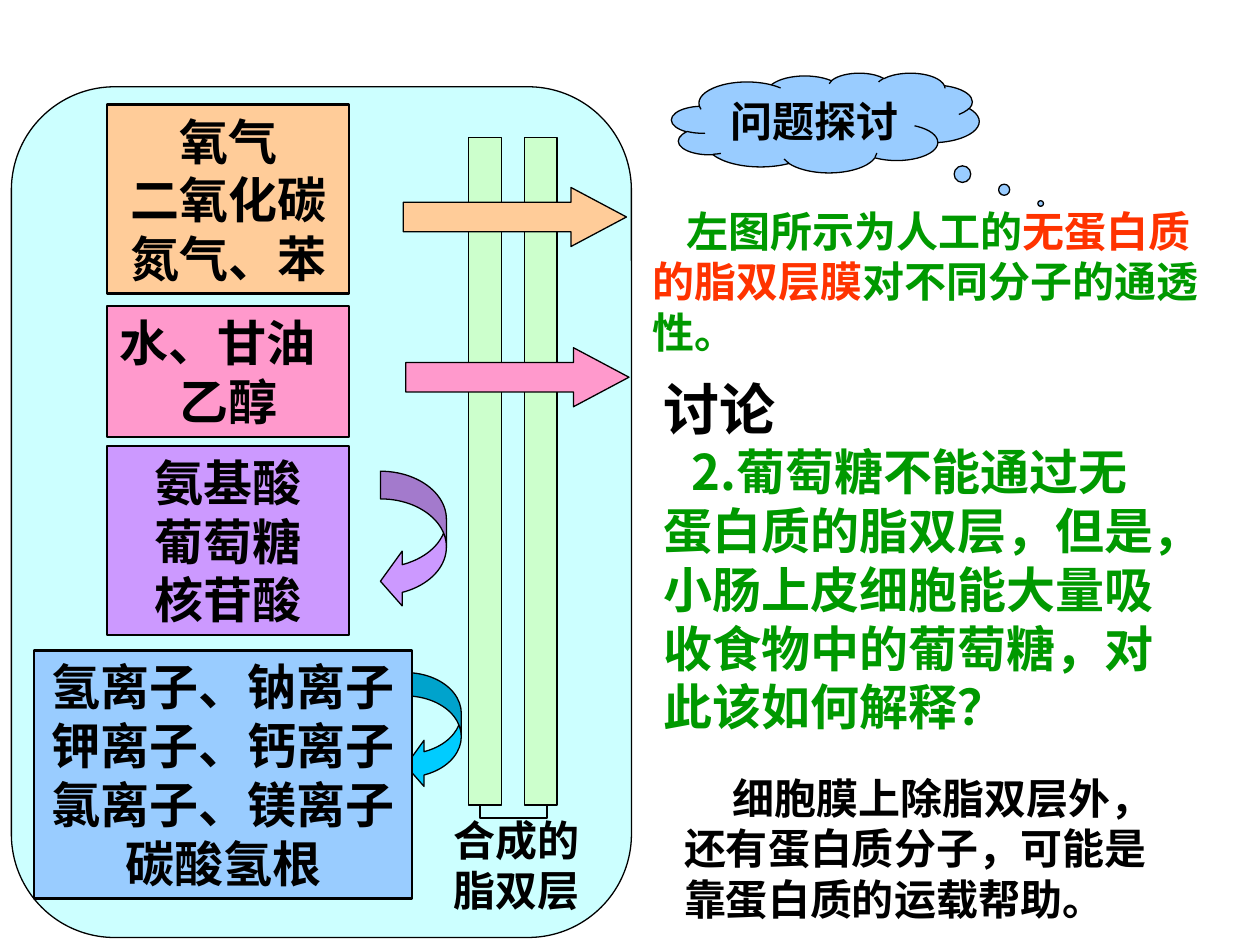
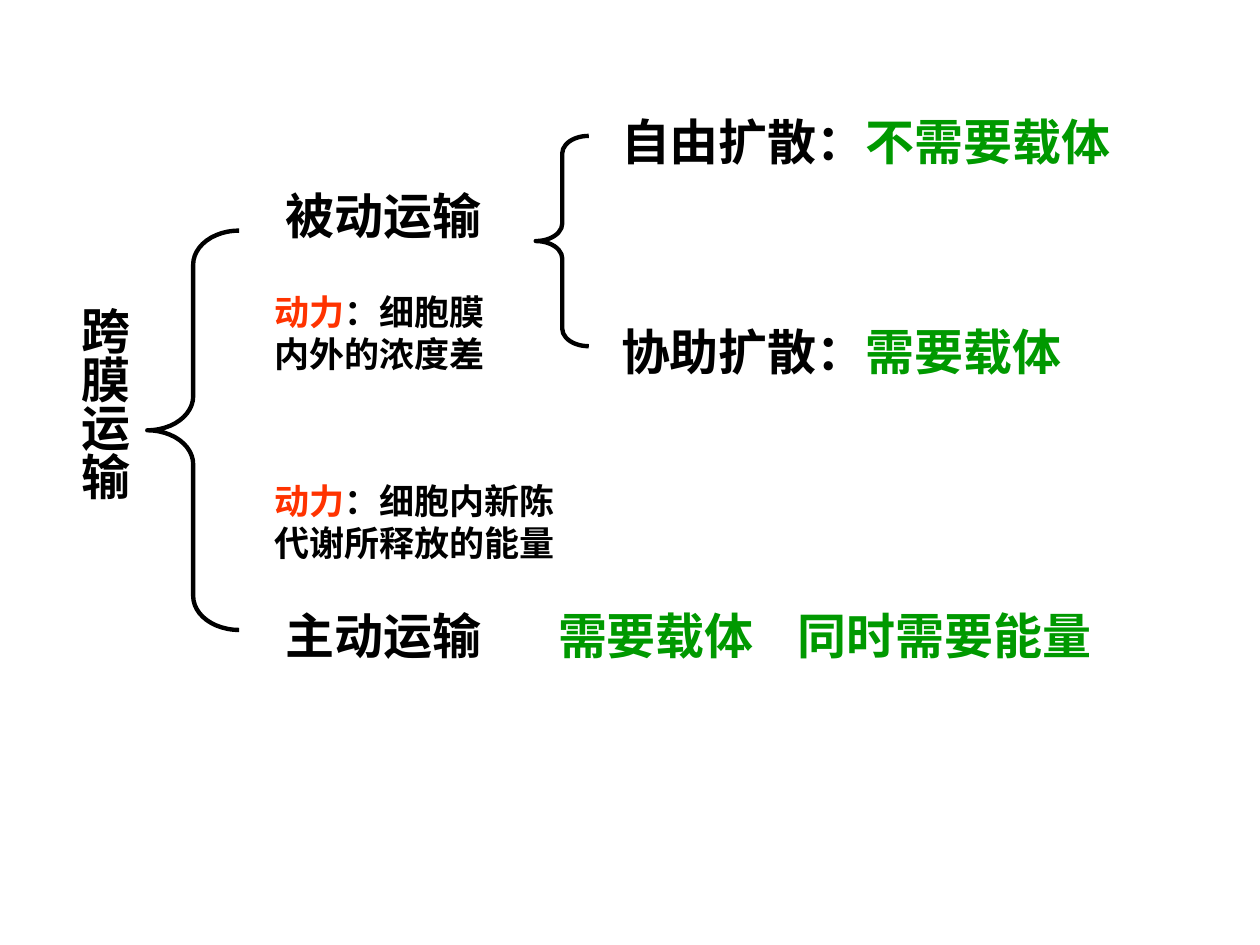
from lxml import etree
from pptx import Presentation
from pptx.dml.color import RGBColor
from pptx.enum.shapes import MSO_SHAPE
from pptx.enum.text import MSO_ANCHOR, PP_ALIGN
from pptx.oxml.ns import qn
from pptx.util import Cm, Pt

LEFT, CENTER = PP_ALIGN.LEFT, PP_ALIGN.CENTER
TOP, MIDDLE = MSO_ANCHOR.TOP, MSO_ANCHOR.MIDDLE
RECTANGLE, PROCESS = MSO_SHAPE.RECTANGLE, MSO_SHAPE.FLOWCHART_PROCESS
ROUNDED, CLOUD = MSO_SHAPE.ROUNDED_RECTANGLE, MSO_SHAPE.CLOUD_CALLOUT
RIGHT_ARROW, TURN_ARROW = MSO_SHAPE.RIGHT_ARROW, MSO_SHAPE.CURVED_LEFT_ARROW
BRACE = MSO_SHAPE.LEFT_BRACE

BLACK = RGBColor(0x00, 0x00, 0x00)
GREEN = RGBColor(0x00, 0x99, 0x00)
RED = RGBColor(0xFF, 0x33, 0x00)
PALE_CYAN = RGBColor(0xCC, 0xFF, 0xFF)
PALE_GREEN = RGBColor(0xCC, 0xFF, 0xCC)
SKY = RGBColor(0x99, 0xCC, 0xFF)
PEACH = RGBColor(0xFF, 0xCC, 0x99)
PINK = RGBColor(0xFF, 0x99, 0xCC)
VIOLET = RGBColor(0xCC, 0x99, 0xFF)
CYAN = RGBColor(0x00, 0xCC, 0xFF)

LATIN, CHINESE, HEADING = "Arial", "Noto Sans CJK SC", "Noto Sans CJK JP"
LINE_HEIGHT = 1.2
INSET_LONG, INSET_SHORT = Cm(0.25), Cm(0.13)

# Places are (left, top, width, height) in centimetres.
MOLECULE_BOXES = [
    ((2.16, 2.11, 4.88, 3.81), PEACH,
     [("氧气", CENTER), ("二氧化碳", CENTER), ("氮气、苯", CENTER)]),
    ((2.16, 6.17, 4.88, 2.64), PINK, [("水、甘油", LEFT), ("乙醇", CENTER)]),
    ((2.16, 8.99, 4.88, 3.81), VIOLET,
     [("氨基酸", CENTER), ("葡萄糖", CENTER), ("核苷酸", CENTER)]),
    ((0.69, 13.11, 7.62, 5.0), SKY,
     [("氢离子、钠离子", CENTER), ("钾离子、钙离子", CENTER),
      ("氯离子、镁离子", CENTER), ("碳酸氢根", CENTER)]),
]
PASSING_ARROWS = [((8.13, 3.78, 4.5, 1.19), PEACH), ((8.18, 7.01, 4.5, 1.19), PINK)]
RETURN_ARROWS = [((7.67, 9.5, 1.33, 2.77), VIOLET), ((8.18, 13.56, 1.12, 2.34), CYAN)]
LAYER_LEFTS = (10.57, 9.45)

PASSAGE = [("左图所示为人工的", GREEN), ("无蛋白质的脂双层膜", RED),
           ("对不同分子的通透性。", GREEN)]
QUESTION = "2.葡萄糖不能通过无蛋白质的脂双层，但是，小肠上皮细胞能大量吸收食物中的葡萄糖，对此该如何解释？"
CONCLUSION = "细胞膜上除脂双层外，还有蛋白质分子，可能是靠蛋白质的运载帮助。"

TRANSPORT_LABELS = [
    ((5.51, 3.61, 6.55, 1.45), 28, [("被动运输", BLACK)]),
    ((5.51, 12.07, 6.2, 1.45), 28, [("主动运输", BLACK)]),
    ((5.28, 5.72, 5.28, 1.96), 20, [("动力", RED), ("：细胞膜内外的浓度差", BLACK)]),
    ((5.28, 9.53, 6.78, 1.96), 20, [("动力", RED), ("：细胞内新陈代谢所释放的能量", BLACK)]),
    ((12.27, 2.11, 10.59, 1.45), 28, [("自由扩散：", BLACK), ("不需要载体", GREEN)]),
    ((12.27, 6.35, 9.73, 1.45), 28, [("协助扩散：", BLACK), ("需要载体", GREEN)]),
]
ACTIVE_NEEDS = "需要载体\t同时需要能量"
BRACES = [((2.97, 4.65, 1.85, 8.05), 0.37), ((10.8, 2.74, 1.07, 4.24), 0.33)]


def add_figure(page, kind, place, fill=None, line_width=0.75, adjustments=()):
    """Add a preset shape; no fill or a line width of 0 leaves that part out."""
    figure = page.shapes.add_shape(kind, *map(Cm, place))
    figure.shadow.inherit = False
    for index, value in enumerate(adjustments):
        figure.adjustments[index] = value
    if fill is None:
        figure.fill.background()
    else:
        figure.fill.solid()
        figure.fill.fore_color.rgb = fill
    if line_width:
        figure.line.color.rgb = BLACK
        figure.line.width = Pt(line_width)
    else:
        figure.line.fill.background()
    return figure


def prepare_frame(shape, anchor=TOP):
    frame = shape.text_frame
    frame.word_wrap = True
    frame.vertical_anchor = anchor
    frame.margin_left = frame.margin_right = INSET_LONG
    frame.margin_top = frame.margin_bottom = INSET_SHORT
    return frame


def add_text_box(page, place):
    return prepare_frame(page.shapes.add_textbox(*map(Cm, place)))


def write(para, spans, size, align=LEFT, indent=0, font=LATIN):
    """Fill a paragraph with (text, colour) spans; indent is for its first line."""
    para.alignment = align
    para.line_spacing = Pt(size * LINE_HEIGHT)
    if indent:
        para._p.get_or_add_pPr().set("indent", str(Cm(indent)))
    for text, colour in spans:
        span = para.add_run()
        span.text = text
        span.font.name = font
        span.font.size = Pt(size)
        span.font.bold = True
        span.font.color.rgb = colour
        east_asian = CHINESE if font == LATIN else font
        span.font._element.find(qn("a:latin")).addnext(
            etree.Element(qn("a:ea"), typeface=east_asian))


def add_tab_stop(para, position):
    stops = etree.SubElement(para._p.get_or_add_pPr(), qn("a:tabLst"))
    etree.SubElement(stops, qn("a:tab"), pos=str(Cm(position)), algn="l")


def draw_membrane(page):
    add_figure(page, RECTANGLE, (9.68, 15.42, 1.35, 1.07))
    add_figure(page, RECTANGLE, (9.68, 14.88, 1.35, 0.81), PALE_CYAN, 0)
    for left in LAYER_LEFTS:
        add_figure(page, PROCESS, (left, 2.77, 0.66, 13.46), PALE_GREEN)
    for place, fill in PASSING_ARROWS:
        add_figure(page, RIGHT_ARROW, place, fill, adjustments=(0.5, 0.94))
    for place, fill in RETURN_ARROWS:
        add_figure(page, TURN_ARROW, place, fill, adjustments=(0.42, 0.83, 0.33))
    label = add_text_box(page, (8.51, 16.28, 3.81, 2.29))
    write(label.paragraphs[0], [("合成的脂双层", BLACK)], 24, CENTER)


def draw_molecule_boxes(page):
    for place, fill, lines in MOLECULE_BOXES:
        frame = prepare_frame(add_figure(page, RECTANGLE, place, fill, 1.5))
        for index, (text, align) in enumerate(lines):
            para = frame.add_paragraph() if index else frame.paragraphs[0]
            write(para, [(text, BLACK)], 28, align)


def build_permeability_page(page):
    add_figure(page, ROUNDED, (0.23, 1.75, 12.5, 17.15), PALE_CYAN)
    cloud = add_figure(page, CLOUD, (13.54, 1.47, 6.2, 2.01), SKY,
                       adjustments=(0.7, 0.81))
    write(prepare_frame(cloud, MIDDLE).paragraphs[0], [("问题探讨", BLACK)], 24, CENTER)
    passage = add_text_box(page, (12.9, 4.01, 11.99, 3.48))
    write(passage.paragraphs[0], PASSAGE, 24, indent=0.69, font=CHINESE)
    draw_membrane(page)
    draw_molecule_boxes(page)
    discussion = add_text_box(page, (13.13, 7.42, 10.59, 7.54))
    write(discussion.paragraphs[0], [("讨论", BLACK)], 32, font=HEADING)
    write(discussion.add_paragraph(), [(QUESTION, GREEN)], 28, indent=0.56, font=CHINESE)
    conclusion = add_text_box(page, (13.54, 15.44, 10.59, 3.3))
    write(conclusion.paragraphs[0], [(CONCLUSION, BLACK)], 24, indent=0.97)


def build_transport_page(page):
    root = add_text_box(page, (1.14, 5.92, 1.68, 6.35))
    root._txBody.bodyPr.set("vert", "eaVert")
    root.margin_left = root.margin_right = INSET_SHORT
    root.margin_top = root.margin_bottom = INSET_LONG
    write(root.paragraphs[0], [("跨膜运输", BLACK)], 28)
    root.paragraphs[0].line_spacing = None
    for place, curl in BRACES:
        add_figure(page, BRACE, place, line_width=2.5, adjustments=(curl, 0.5))
    for place, size, spans in TRANSPORT_LABELS:
        write(add_text_box(page, place).paragraphs[0], spans, size)
    needs = add_text_box(page, (11.0, 12.07, 12.07, 1.45)).paragraphs[0]
    write(needs, [(ACTIVE_NEEDS, GREEN)], 28)
    add_tab_stop(needs, 4.83)


def main():
    deck = Presentation()
    deck.slide_width, deck.slide_height = Cm(25.4), Cm(19.05)
    blank = deck.slide_layouts[6]
    for build in (build_permeability_page, build_transport_page):
        build(deck.slides.add_slide(blank))
    deck.save("out.pptx")


if __name__ == "__main__":
    main()
